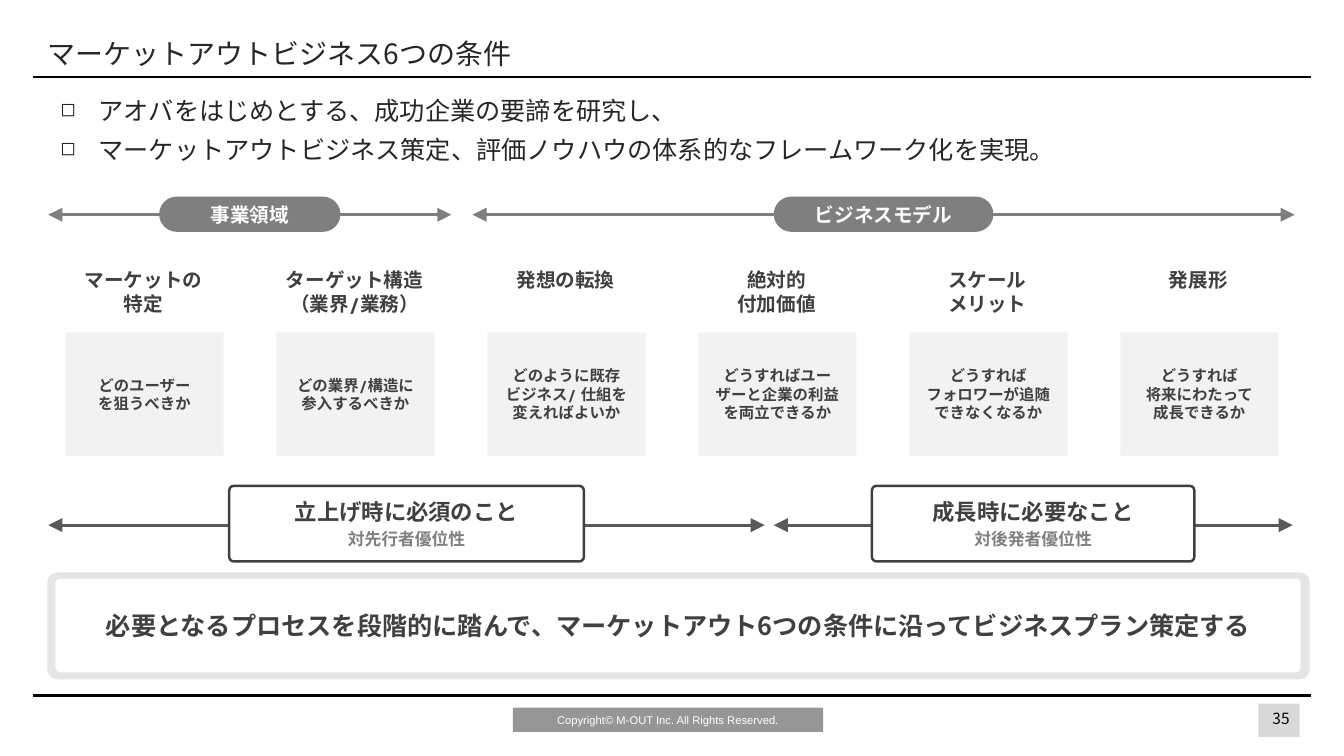
from dataclasses import dataclass

from lxml import etree
from pptx import Presentation
from pptx.dml.color import RGBColor
from pptx.enum.shapes import MSO_CONNECTOR as CONN, MSO_SHAPE as SHAPE
from pptx.enum.text import MSO_ANCHOR as ANCHOR, PP_ALIGN as ALIGN
from pptx.oxml.ns import qn
from pptx.util import Inches, Pt

WHITE = RGBColor(0xFF, 0xFF, 0xFF)
BLACK = RGBColor(0x00, 0x00, 0x00)
INK = RGBColor(0x26, 0x26, 0x26)
DARK = RGBColor(0x40, 0x40, 0x40)
ARROW_DARK = RGBColor(0x59, 0x59, 0x59)
GRAY = RGBColor(0x7F, 0x7F, 0x7F)
FOOTER_GRAY = RGBColor(0x96, 0x96, 0x96)
NUMBER_GRAY = RGBColor(0xD9, 0xD9, 0xD9)
FRAME_GRAY = RGBColor(0xE5, 0xE5, 0xE5)
CARD_GRAY = RGBColor(0xF2, 0xF2, 0xF2)

SANS = "Noto Sans CJK JP"
DISPLAY = "TeX Gyre Adventor"


@dataclass
class Style:
    size: float
    color: RGBColor
    font: str = DISPLAY
    bold: bool = True


@dataclass
class Condition:
    heading: str
    question: str


@dataclass
class Span:
    start: float
    end: float
    label_width: float
    label: str
    note: str = ""

    @property
    def label_left(self) -> float:
        return (self.start + self.end - self.label_width) / 2


CONDITIONS = [
    Condition("マーケットの\n特定", "どのユーザー\nを狙うべきか"),
    Condition("ターゲット構造\v（業界/業務）", "どの業界/構造に\n参入するべきか"),
    Condition("発想の転換", "どのように既存\nビジネス/ 仕組を\n変えればよいか"),
    Condition("絶対的\n付加価値", "どうすればユー\nザーと企業の利益\nを両立できるか"),
    Condition("スケール\nメリット", "どうすれば\nフォロワーが追随\nできなくなるか"),
    Condition("発展形", "どうすれば\n将来にわたって\n成長できるか"),
]
AREAS = [
    Span(0.48, 4.48, 1.8, "事業領域"),
    Span(4.69, 12.85, 2.18, "ビジネスモデル"),
]
STAGES = [
    Span(0.48, 7.59, 3.52, "立上げ時に必須のこと", "対先行者優位性"),
    Span(7.68, 12.83, 3.2, "成長時に必要なこと", "対後発者優位性"),
]
BULLETS = [
    "アオバをはじめとする、成功企業の要諦を研究し、",
    "マーケットアウトビジネス策定、評価ノウハウの体系的なフレームワーク化を実現。",
]


def format_paragraph(p, style: Style, align=ALIGN.CENTER) -> None:
    p.alignment = align
    for r in p.runs:
        r.font.size = Pt(style.size)
        r.font.name = style.font
        r.font.bold = style.bold
        r.font.color.rgb = style.color
        # East Asian glyphs follow the same typeface
        ea = etree.SubElement(r._r.get_or_add_rPr(), qn("a:ea"))
        ea.set("typeface", style.font)


def write(sp, text: str, style: Style, align=ALIGN.CENTER, anchor=ANCHOR.MIDDLE):
    tf = sp.text_frame
    tf.word_wrap = True
    tf.vertical_anchor = anchor
    tf.text = text
    for p in tf.paragraphs:
        format_paragraph(p, style, align)
    return tf


def add_box(s, left: float, top: float, width: float, height: float,
            fill: RGBColor, radius: float = 0):
    kind = SHAPE.ROUNDED_RECTANGLE if radius else SHAPE.RECTANGLE
    sp = s.shapes.add_shape(kind, Inches(left), Inches(top), Inches(width), Inches(height))
    if radius:
        sp.adjustments[0] = radius
    sp.shadow.inherit = False
    sp.fill.solid()
    sp.fill.fore_color.rgb = fill
    sp.line.fill.background()
    return sp


def add_text(s, left: float, top: float, width: float, height: float):
    return s.shapes.add_textbox(Inches(left), Inches(top), Inches(width), Inches(height))


def add_line(s, start: float, end: float, y: float, color: RGBColor,
             weight: float, arrows: bool = False) -> None:
    line = s.shapes.add_connector(CONN.STRAIGHT, Inches(start), Inches(y), Inches(end), Inches(y))
    line.line.color.rgb = color
    line.line.width = Pt(weight)
    if arrows:
        ln = line.line._get_or_add_ln()
        for tag in ("a:headEnd", "a:tailEnd"):
            tip = etree.SubElement(ln, qn(tag))
            for key, value in (("type", "triangle"), ("w", "lg"), ("len", "lg")):
                tip.set(key, value)
    etree.SubElement(line._element.spPr, qn("a:effectLst"))


def add_bullet(p) -> None:
    pPr = p._p.get_or_add_pPr()
    pPr.set("marL", str(Inches(0.38)))
    pPr.set("indent", str(-Inches(0.38)))
    etree.SubElement(pPr, qn("a:buSzPct")).set("val", "75000")
    etree.SubElement(pPr, qn("a:buChar")).set("char", "◻")


def main() -> None:
    prs = Presentation()
    prs.slide_width, prs.slide_height = Inches(13.34), Inches(7.5)
    s = prs.slides.add_slide(prs.slide_layouts[6])

    # Rules and footer
    for y in (0.76, 6.9):
        add_line(s, 0.33, 13.01, y, BLACK, 1.5)
    add_box(s, 12.49, 6.98, 0.41, 0.33, NUMBER_GRAY)
    number = write(add_text(s, 12.56, 6.99, 0.31, 0.25), "35",
                   Style(11, BLACK, SANS, False), anchor=ANCHOR.TOP)
    number.margin_left = number.margin_right = 0
    write(add_box(s, 5.09, 7.02, 3.08, 0.24, FOOTER_GRAY),
          "Copyright© M-OUT Inc. All Rights Reserved.", Style(8, WHITE, "Arial", False))

    # Title and lead bullets
    write(add_text(s, 0.37, 0.21, 12.52, 0.63), "マーケットアウトビジネス6つの条件",
          Style(20, INK, SANS, False), ALIGN.LEFT)
    lead = write(add_text(s, 0.5, 0.9, 12.33, 0.91), "\n".join(BULLETS),
                 Style(18, INK, SANS, False), ALIGN.LEFT, ANCHOR.TOP)
    for p in lead.paragraphs:
        add_bullet(p)
    lead.paragraphs[1].space_before = Pt(6.1)

    # Six conditions: heading column with a question card
    pitch = (10.95 - 0.48) / 5
    for i, condition in enumerate(CONDITIONS):
        column = add_box(s, 0.48 + i * pitch, 2.5, 1.89, 2.17, WHITE)
        tf = write(column, condition.heading, Style(14, DARK), anchor=ANCHOR.TOP)
        tf.margin_top = Inches(0.16)
        card = add_box(s, 0.65 + i * pitch, 3.3, 1.57, 1.22, CARD_GRAY)
        write(card, condition.question, Style(11, DARK))

    # Areas above the conditions
    for area in AREAS:
        add_line(s, area.start, area.end, 2.13, GRAY, 2, arrows=True)
        pill = add_box(s, area.label_left, 1.95, area.label_width, 0.35, GRAY, 0.5)
        write(pill, area.label, Style(14, WHITE))

    # Stages below the conditions
    for stage in STAGES:
        add_line(s, stage.start, stage.end, 5.21, ARROW_DARK, 2, arrows=True)
        sp = add_box(s, stage.label_left, 4.82, stage.label_width, 0.75, WHITE, 0.06)
        sp.line.color.rgb = DARK
        sp.line.width = Pt(1.75)
        tf = write(sp, stage.label, Style(16, DARK))
        p = tf.add_paragraph()
        p.text = stage.note
        p.space_before = Pt(3)
        format_paragraph(p, Style(12, GRAY))

    # Framed conclusion
    add_box(s, 0.47, 5.68, 12.53, 1.06, FRAME_GRAY, 0.09)
    write(add_box(s, 0.55, 5.74, 12.36, 0.93, WHITE, 0.05),
          "必要となるプロセスを段階的に踏んで、マーケットアウト6つの条件に沿ってビジネスプラン策定する",
          Style(18, DARK, SANS))

    prs.save("out.pptx")


if __name__ == "__main__":
    main()
